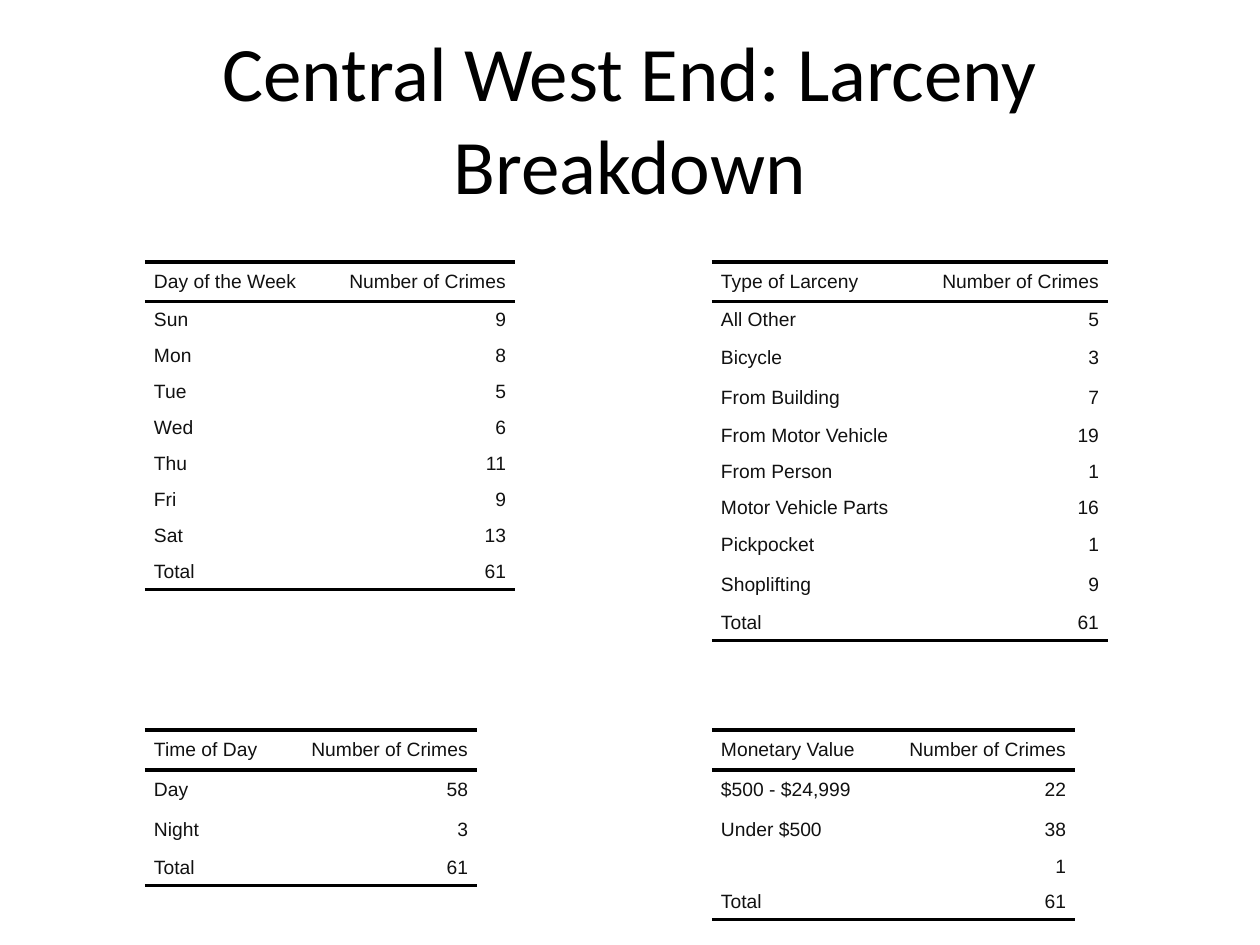
"""Build the Central West End larceny slide with its four crime tables."""
import lxml.etree
import pptx
import pptx.dml.color
import pptx.enum.text
import pptx.oxml.ns
import pptx.util

PX = 914400 // 126
BLACK = pptx.dml.color.RGBColor(0x00, 0x00, 0x00)
INK = pptx.dml.color.RGBColor(0x11, 0x11, 0x11)
LEFT = pptx.enum.text.PP_ALIGN.LEFT
RIGHT = pptx.enum.text.PP_ALIGN.RIGHT
CENTER = pptx.enum.text.PP_ALIGN.CENTER
MIDDLE = pptx.enum.text.MSO_ANCHOR.MIDDLE
PLAIN = "{2D5ABB26-0587-4C30-8999-92F81FD0307C}"
PAD = 9 * PX
COUNT = "Number of Crimes"
qn = pptx.oxml.ns.qn


def write(para, text, size=11, face="Arial", color=INK, align=LEFT):
    para.alignment = align
    if not text:
        lxml.etree.SubElement(para._p, qn("a:endParaRPr"), sz=str(size * 100))
        return
    run = para.add_run()
    run.text = text
    run.font.size = pptx.util.Pt(size)
    run.font.name = face
    run.font.color.rgb = color


def rule(cell, side):
    line = lxml.etree.SubElement(cell._tc.get_or_add_tcPr(), qn(side), w="25400")
    fill = lxml.etree.SubElement(line, qn("a:solidFill"))
    lxml.etree.SubElement(fill, qn("a:srgbClr"), val=str(BLACK))


deck = pptx.Presentation()
deck.slide_width = pptx.util.Inches(10)
deck.slide_height = pptx.util.Inches(7.5)
slide = deck.slides.add_slide(deck.slide_layouts[6])

title = slide.shapes.add_textbox(63 * PX, 38 * PX, 1134 * PX, 158 * PX)
title.text_frame.word_wrap = True
title.text_frame.vertical_anchor = MIDDLE
write(title.text_frame.paragraphs[0], "Central West End: Larceny Breakdown",
      size=44, face="Calibri", color=BLACK, align=CENTER)

tables = [
    (145, 262, 178, [40] + [36] * 8,
     [("Day of the Week", COUNT), ("Sun", "9"), ("Mon", "8"), ("Tue", "5"),
      ("Wed", "6"), ("Thu", "11"), ("Fri", "9"), ("Sat", "13"), ("Total", "61")]),
    (145, 730, 140, [40, 40, 40, 36],
     [("Time of Day", COUNT), ("Day", "58"), ("Night", "3"), ("Total", "61")]),
    (712, 262, 204, [40, 36, 40, 40, 36, 36, 36, 39, 40, 36],
     [("Type of Larceny", COUNT), ("All Other", "5"), ("Bicycle", "3"),
      ("From Building", "7"), ("From Motor Vehicle", "19"), ("From Person", "1"),
      ("Motor Vehicle Parts", "16"), ("Pickpocket", "1"), ("Shoplifting", "9"),
      ("Total", "61")]),
    (712, 730, 171, [40, 40, 39, 35, 36],
     [("Monetary Value", COUNT), ("$500 - $24,999", "22"), ("Under $500", "38"),
      ("", "1"), ("Total", "61")]),
]

for left, top, label, heights, rows in tables:
    widths = [label, 192]
    frame = slide.shapes.add_table(len(rows), 2, left * PX, top * PX,
                                   sum(widths) * PX, sum(heights) * PX)
    table = frame.table
    table.first_row = table.horz_banding = False
    table._tbl.tblPr.find(qn("a:tableStyleId")).text = PLAIN
    for col, width in zip(table.columns, widths):
        col.width = width * PX
    for r, (row, height) in enumerate(zip(rows, heights)):
        table.rows[r].height = height * PX
        for c, (text, align) in enumerate(zip(row, (LEFT, RIGHT))):
            cell = table.cell(r, c)
            cell.margin_left = cell.margin_right = 0
            cell.margin_top = cell.margin_bottom = 0
            cell.vertical_anchor = MIDDLE
            if r == 0:
                rule(cell, "a:lnT")
            if r in (0, len(rows) - 1):
                rule(cell, "a:lnB")
            cell.fill.background()
            para = cell.text_frame.paragraphs[0]
            para.space_before = para.space_after = pptx.util.Pt(2)
            props = para._p.get_or_add_pPr()
            props.set("marL", str(PAD))
            props.set("marR", str(PAD))
            props.set("indent", "0")
            write(para, text, align=align)

deck.save("out.pptx")
